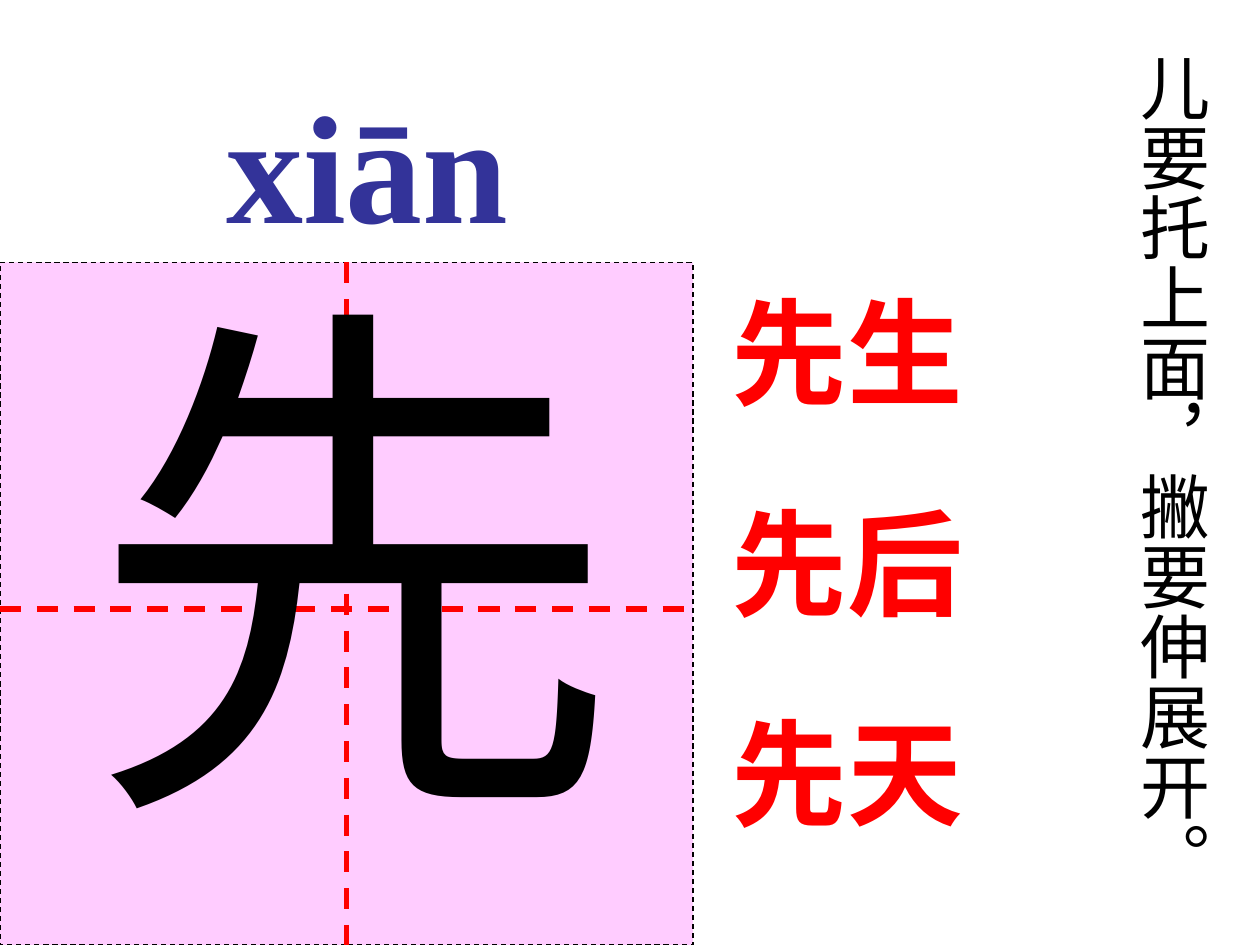
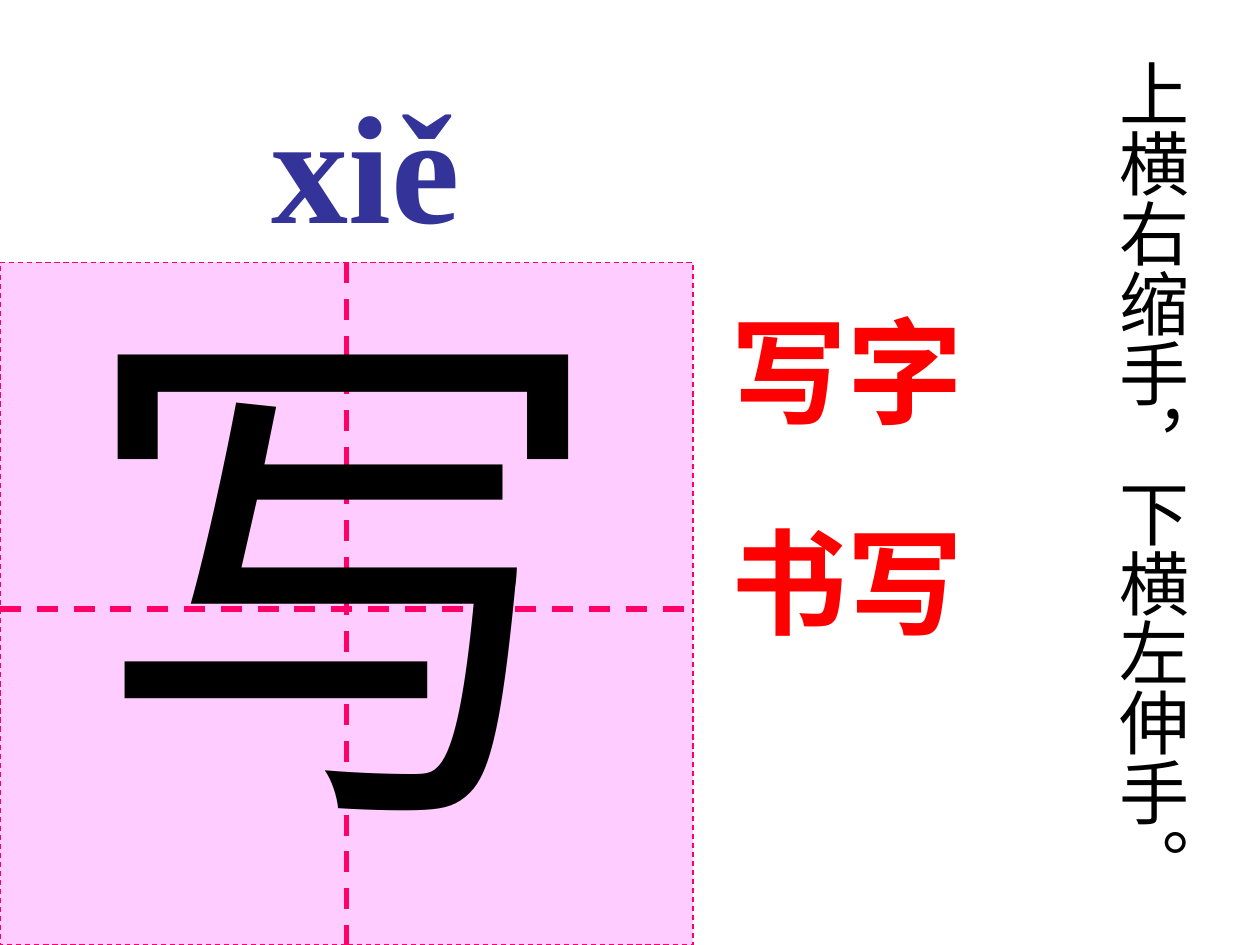
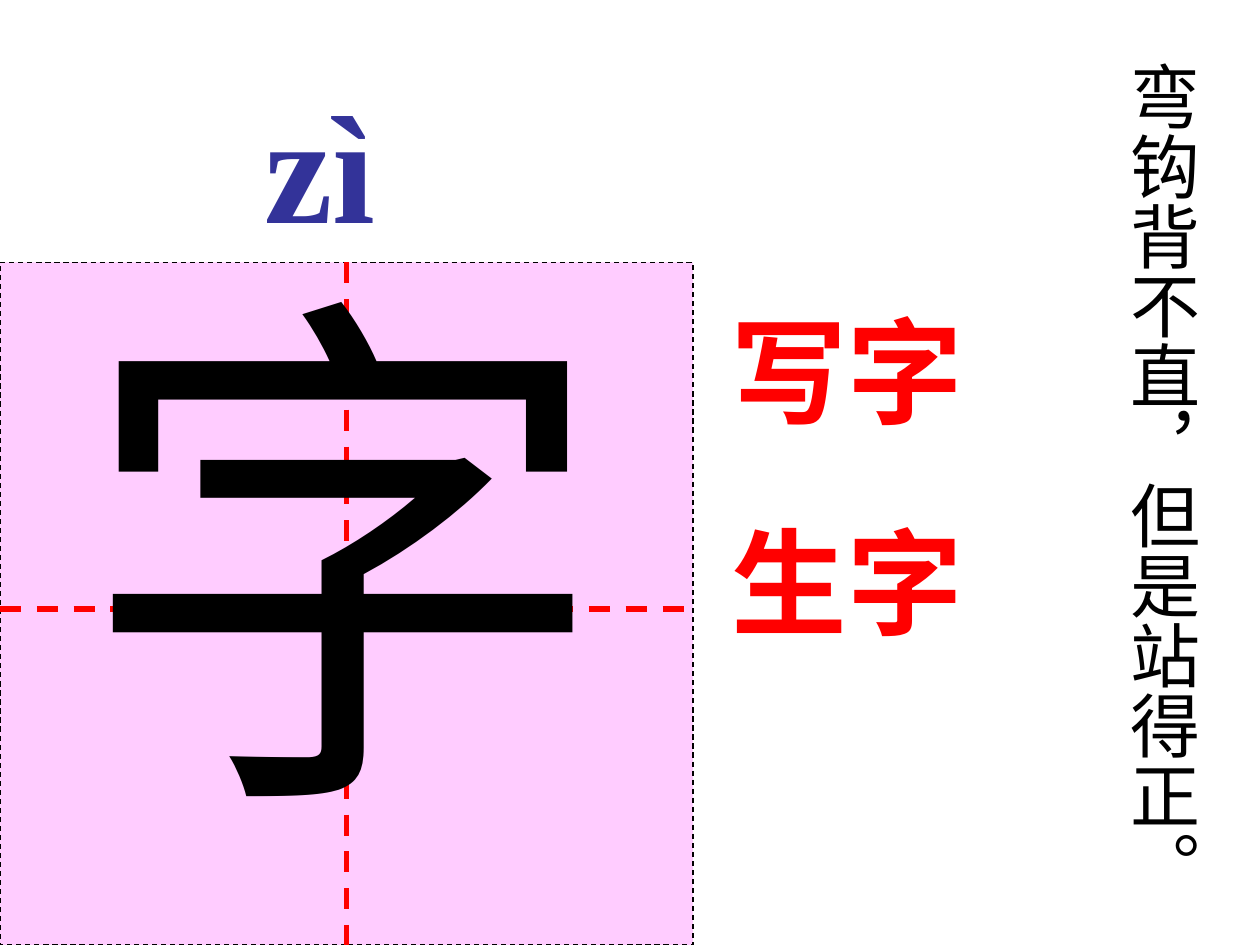
from pptx import Presentation
from pptx.dml.color import RGBColor
from pptx.enum.dml import MSO_LINE
from pptx.enum.shapes import MSO_CONNECTOR, MSO_SHAPE
from pptx.enum.text import MSO_AUTO_SIZE
from pptx.oxml.ns import qn
from pptx.util import Pt
from lxml import etree

DASH = MSO_LINE.DASH
RECTANGLE = MSO_SHAPE.RECTANGLE
STRAIGHT = MSO_CONNECTOR.STRAIGHT
FIT_SHAPE = MSO_AUTO_SIZE.SHAPE_TO_FIT_TEXT

COLORS = {
    "card": "FFCCFF",
    "ink": "000000",
    "pinyin": "333399",
    "red": "FF0000",
    "rose": "FF0066",
}
FONT = "Times New Roman"

# Practice square shared by all slides
CARD_TOP, CARD_WIDTH, CARD_HEIGHT = 150, 396, 390
CARD_BOTTOM = CARD_TOP + CARD_HEIGHT
MIDDLE_X, MIDDLE_Y = CARD_WIDTH / 2, 348

FORMATS = {
    "character": {"size": Pt(305), "bold": False, "color": "ink"},
    "pinyin": {"size": Pt(88), "bold": True, "color": "pinyin"},
    "words": {"size": Pt(66), "bold": True, "color": "red"},
    "rhyme": {"size": Pt(40), "bold": False, "color": "ink"},
}
WORD_GAP = 41.2

# Boxes are (left, top, width, height)
LESSONS = [
    {
        "border": "ink", "cross": "red",
        "character": ("先", (42.5, 128, 348, 374)),
        "pinyin": ("xiān", (78, 36, 348, 113)), "pinyin_indent": 44,
        "words": ("先生\n先后\n先天", (411, 157, 210, 328)),
        "rhyme": ("儿要托上面，撇要伸展开。", (636, 23, 62, 487)),
    },
    {
        "border": "rose", "cross": "rose",
        "character": ("写", (36.5, 134, 348, 374)),
        "pinyin": ("xiě", (126, 36, 348, 113)), "pinyin_indent": 22,
        "words": ("写字\n书写", (411, 168, 210, 207)),
        "rhyme": ("上横右缩手，下横左伸手。", (624, 26.5, 62, 487)),
    },
    {
        "border": "ink", "cross": "red",
        "character": ("字", (36.5, 122.5, 348, 374)),
        "pinyin": ("zì", (78, 36, 348, 113)), "pinyin_indent": 66,
        "words": ("写字\n生字", (411, 168, 210, 328)),
        "rhyme": ("弯钩背不直，但是站得正。", (630, 28, 62, 487)),
    },
]


def style_line(line, color, width):
    line.color.rgb = RGBColor.from_string(COLORS[color])
    line.width = Pt(width)
    line.dash_style = DASH


def add_text(slide, role, content):
    text, box = content
    frame = slide.shapes.add_textbox(*map(Pt, box)).text_frame
    frame.word_wrap = True
    frame.auto_size = FIT_SHAPE
    frame.text = text
    for number, paragraph in enumerate(frame.paragraphs):
        if number:
            paragraph.space_before = Pt(WORD_GAP)
        for run in paragraph.runs:
            run.font.name = FONT
            for name, value in FORMATS[role].items():
                if name == "color":
                    run.font.color.rgb = RGBColor.from_string(COLORS[value])
                else:
                    setattr(run.font, name, value)
    return frame


presentation = Presentation()
presentation.slide_width = Pt(720)
presentation.slide_height = Pt(540)
blank_layout = presentation.slide_layouts[6]

for lesson in LESSONS:
    slide = presentation.slides.add_slide(blank_layout)

    # Practice square with its dashed cross
    group = slide.shapes.add_group_shape()
    card = group.shapes.add_shape(
        RECTANGLE, Pt(0), Pt(CARD_TOP), Pt(CARD_WIDTH), Pt(CARD_HEIGHT))
    card.shadow.inherit = False
    card.fill.solid()
    card.fill.fore_color.rgb = RGBColor.from_string(COLORS["card"])
    style_line(card.line, lesson["border"], 0.75)
    for ends in [(0, MIDDLE_Y, CARD_WIDTH, MIDDLE_Y),
                 (MIDDLE_X, CARD_TOP, MIDDLE_X, CARD_BOTTOM)]:
        guide = group.shapes.add_connector(STRAIGHT, *map(Pt, ends))
        style_line(guide.line, lesson["cross"], 3)
        etree.SubElement(guide._element.spPr, qn("a:effectLst"))

    # Character, pinyin above it and words beside it
    add_text(slide, "character", lesson["character"])
    pinyin_frame = add_text(slide, "pinyin", lesson["pinyin"])
    pinyin_frame.margin_left = Pt(7.2 + lesson["pinyin_indent"])
    add_text(slide, "words", lesson["words"])

    # Vertical writing rhyme
    rhyme_frame = add_text(slide, "rhyme", lesson["rhyme"])
    rhyme_frame.word_wrap = False
    rhyme_frame._txBody.bodyPr.set("vert", "eaVert")
    for side, margin in {"left": 3.6, "right": 3.6, "top": 7.2, "bottom": 7.2}.items():
        setattr(rhyme_frame, f"margin_{side}", Pt(margin))

presentation.save("out.pptx")
